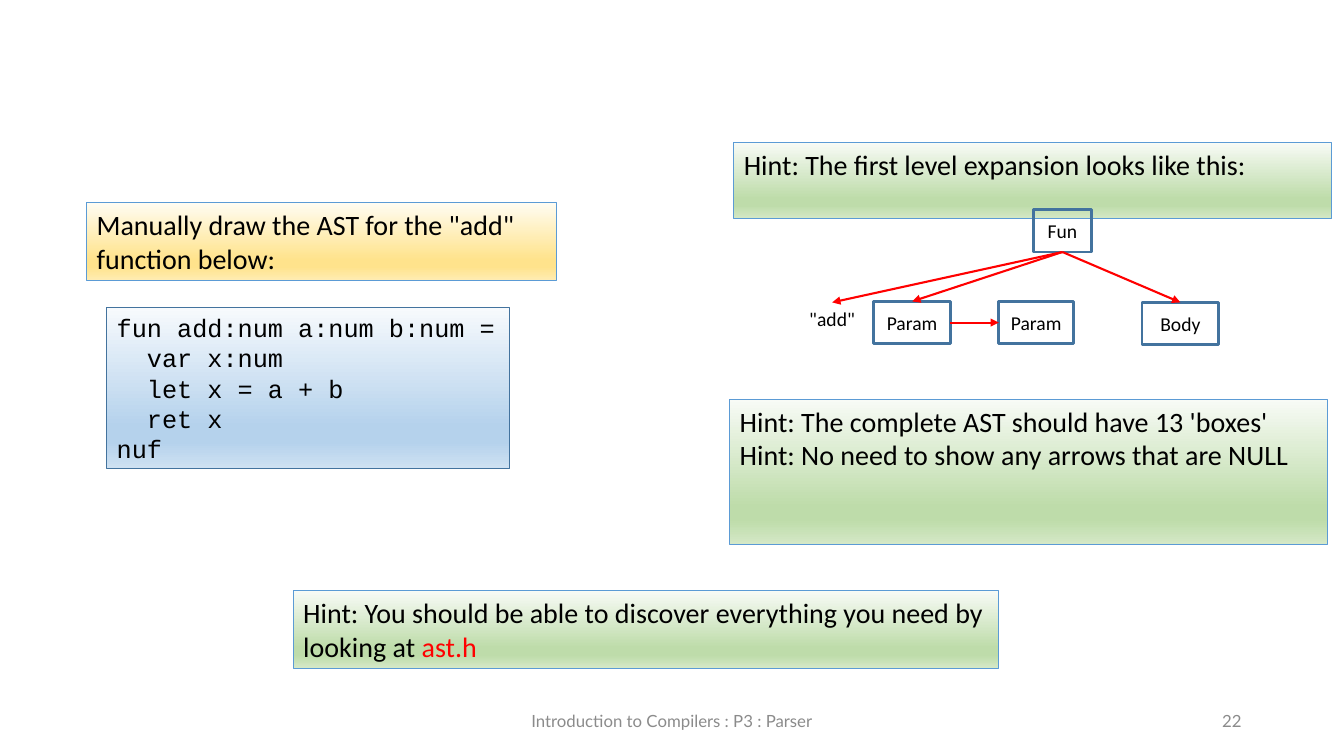
from lxml.etree import SubElement
from pptx import Presentation
from pptx.dml.color import RGBColor
from pptx.enum.shapes import MSO_CONNECTOR, MSO_SHAPE
from pptx.enum.text import MSO_ANCHOR, PP_ALIGN
from pptx.oxml.ns import qn
from pptx.util import Pt

BLACK, RED, GREY = "000000", "FF0000", "8B8B8B"
BLUE, DARK_BLUE = "5B9BD5", "43739E"
STOPS = (0, 74, 83, 100)
GREEN_FADE = ("F8FBF6", "BEDCAA", "BEDCAA", "D4E8C6")
YELLOW_FADE = ("FFFCF2", "FFE38C", "FFE38C", "FFECB2")
BLUE_FADE = ("F7FAFD", "B5D2EC", "B5D2EC", "CEE1F2")

BODY = {"name": "Calibri", "size": Pt(20)}
CODE = {"name": "Courier New", "size": Pt(18)}
NODE = {"name": "Calibri", "size": Pt(14)}
FOOTER = {"name": "Lato", "size": Pt(12)}


def color(value):
    return RGBColor.from_string(value)


def write(box, lines, style, align=PP_ALIGN.LEFT, anchor=MSO_ANCHOR.TOP, wrap=True):
    """Each line is a list of (text, colour) spans."""
    frame = box.text_frame
    layout = {
        "word_wrap": wrap, "vertical_anchor": anchor,
        "margin_left": Pt(7.2), "margin_right": Pt(7.2),
        "margin_top": Pt(3.6), "margin_bottom": Pt(3.6),
    }
    for name, value in layout.items():
        setattr(frame, name, value)
    for index, line in enumerate(lines):
        para = frame.add_paragraph() if index else frame.paragraphs[0]
        para.alignment = align
        for text, text_color in line:
            span = para.add_run()
            span.text = text
            for name, value in style.items():
                setattr(span.font, name, value)
            span.font.color.rgb = color(text_color)


def add_rectangle(page, area, line_color, line_width):
    box = page.shapes.add_shape(MSO_SHAPE.RECTANGLE, *map(Pt, area))
    box.shadow.inherit = False
    box.line.color.rgb = color(line_color)
    box.line.width = Pt(line_width)
    return box


def add_panel(page, area, lines, fade, line_color=BLUE, style=BODY, wrap=True):
    box = add_rectangle(page, area, line_color, 0.75)
    box.fill.gradient()
    box.fill.gradient_angle = 270
    # Four-stop gradient
    stop_list = box._element.spPr.find(".//" + qn("a:gsLst"))
    for stop in list(stop_list):
        stop_list.remove(stop)
    for position, value in zip(STOPS, fade):
        stop = SubElement(stop_list, qn("a:gs"), pos=str(position * 1000))
        SubElement(stop, qn("a:srgbClr"), val=value)
    write(box, lines, style, wrap=wrap)


def add_arrow(page, start, start_site, end, end_site):
    arrow = page.shapes.add_connector(MSO_CONNECTOR.STRAIGHT, 0, 0, 0, 0)
    arrow.begin_connect(start, start_site)
    arrow.end_connect(end, end_site)
    arrow.line.color.rgb = color(RED)
    arrow.line.width = Pt(1.5)
    SubElement(arrow.line._get_or_add_ln(), qn("a:tailEnd"), type="triangle")
    SubElement(arrow._element.spPr, qn("a:effectLst"))


def add_tree(page, left, top):
    """First level of the AST, placed from its top left corner."""
    def add_node(label, x, y, width, height=30.2, framed=True):
        area = (left + x, top + y, width, height)
        if framed:
            node = add_rectangle(page, area, DARK_BLUE, 2)
            node.fill.background()
        else:
            node = page.shapes.add_textbox(*map(Pt, area))
        write(node, [[(label, BLACK)]], NODE, PP_ALIGN.CENTER, MSO_ANCHOR.MIDDLE, False)
        return node

    root = add_node("Fun", 170.6, 0, 41.8)
    name = add_node('"add"', 0, 66.2, 54, 23.8, framed=False)
    first = add_node("Param", 56.8, 65.5, 54.7)
    second = add_node("Param", 146.1, 65.5, 53.3)
    body = add_node("Body", 248.4, 66.2, 54.7)
    for child in (name, first, body):
        add_arrow(page, root, 2, child, 0)
    add_arrow(page, first, 3, second, 1)


def add_footer(page, top, height):
    parts = (
        ("Introduction to Compilers : P3 : Parser", 318, 324, PP_ALIGN.CENTER),
        ("22", 678, 216, PP_ALIGN.RIGHT),
    )
    for text, left, width, align in parts:
        box = page.shapes.add_textbox(Pt(left), Pt(top), Pt(width), Pt(height))
        write(box, [[(text, GREY)]], FOOTER, align, MSO_ANCHOR.MIDDLE)


def main():
    deck = Presentation()
    deck.slide_width, deck.slide_height = Pt(960), Pt(540)
    page = deck.slides.add_slide(deck.slide_layouts[6])

    # Task and source code
    code = ("fun add:num a:num b:num =", "  var x:num", "  let x = a + b", "  ret x", "nuf")
    add_panel(page, (76.3, 219.6, 288, 115.2), [[(line, BLACK)] for line in code],
              BLUE_FADE, DARK_BLUE, CODE, wrap=False)
    add_panel(page, (61.9, 144.7, 335.5, 55.4),
              [[('Manually draw the AST for the "add" function below:', BLACK)]], YELLOW_FADE)

    # Hints
    hints = (
        ((524.2, 101.5, 427, 54.7),
         [[("Hint: The first level expansion looks like this:", BLACK)]]),
        ((521.3, 285.1, 427, 103.7),
         [[("Hint: The complete AST should have 13 'boxes'", BLACK)],
          [("Hint: No need to show any arrows that are NULL", BLACK)]]),
        ((209.5, 421.9, 504, 55.4),
         [[("Hint: You should be able to discover everything you need by looking at ", BLACK),
           ("ast.h", RED)]]),
    )
    for area, lines in hints:
        add_panel(page, area, lines, GREEN_FADE)

    add_tree(page, 567.4, 149.8)
    add_footer(page, 500.4, 28.8)
    deck.save("out.pptx")


if __name__ == "__main__":
    main()
